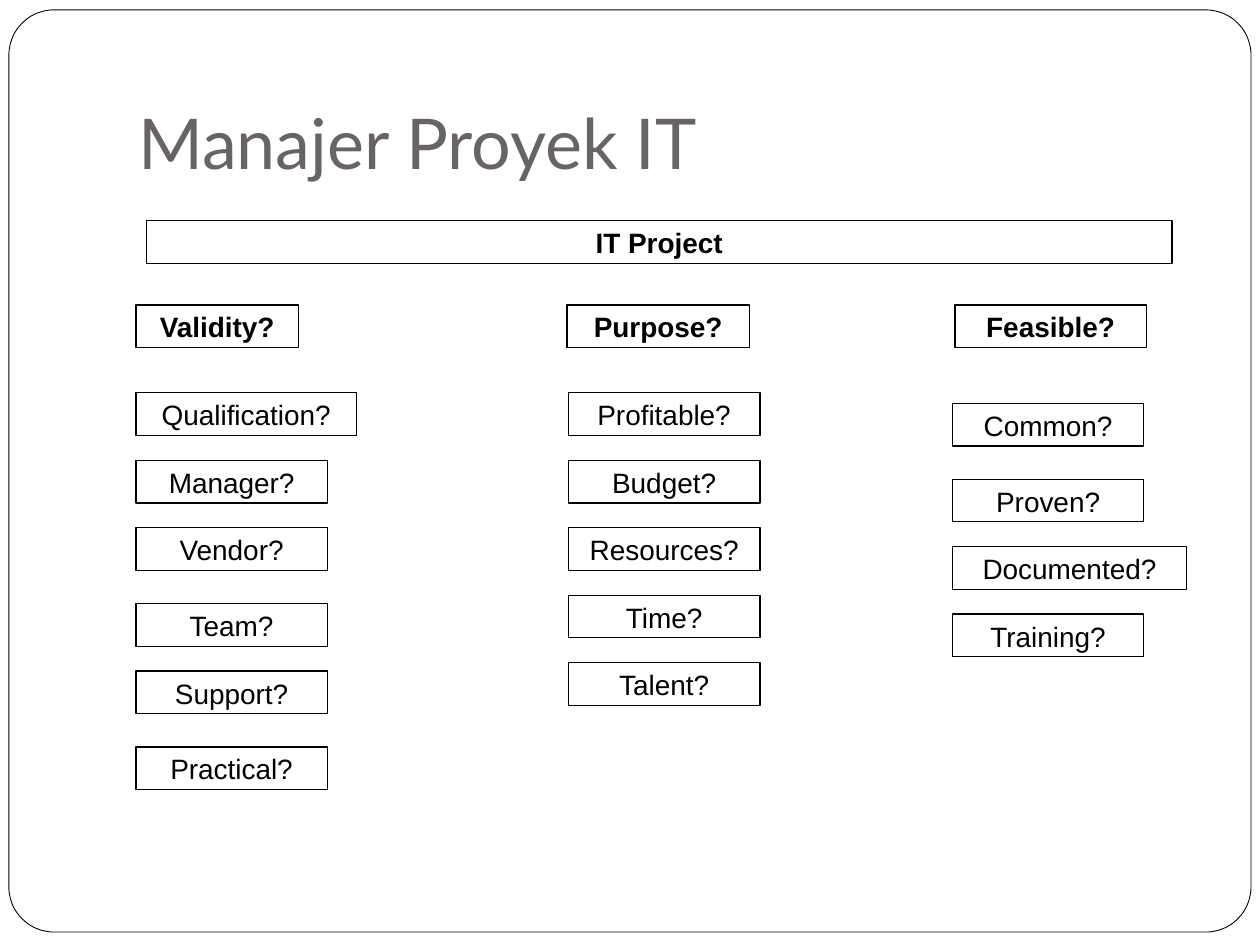
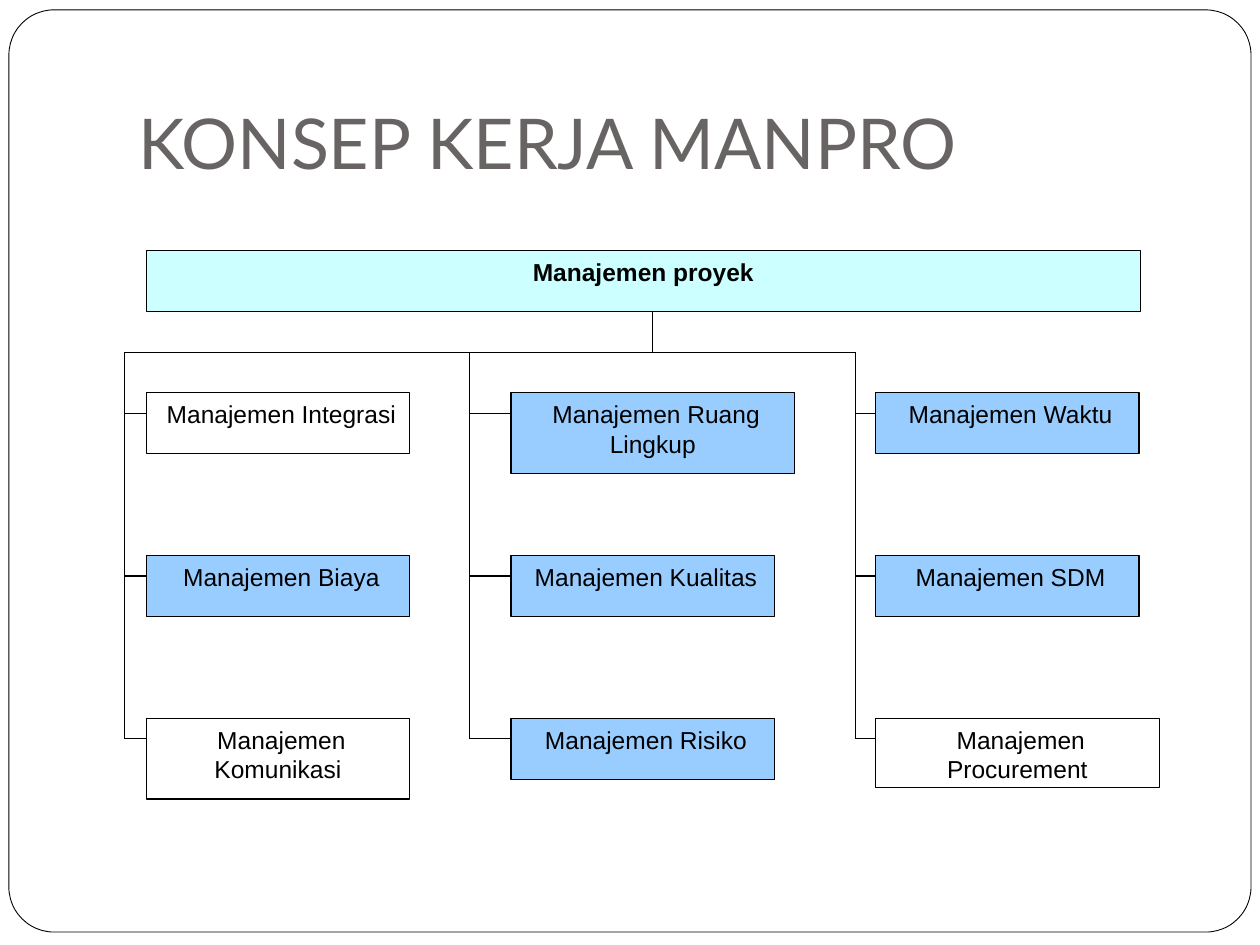
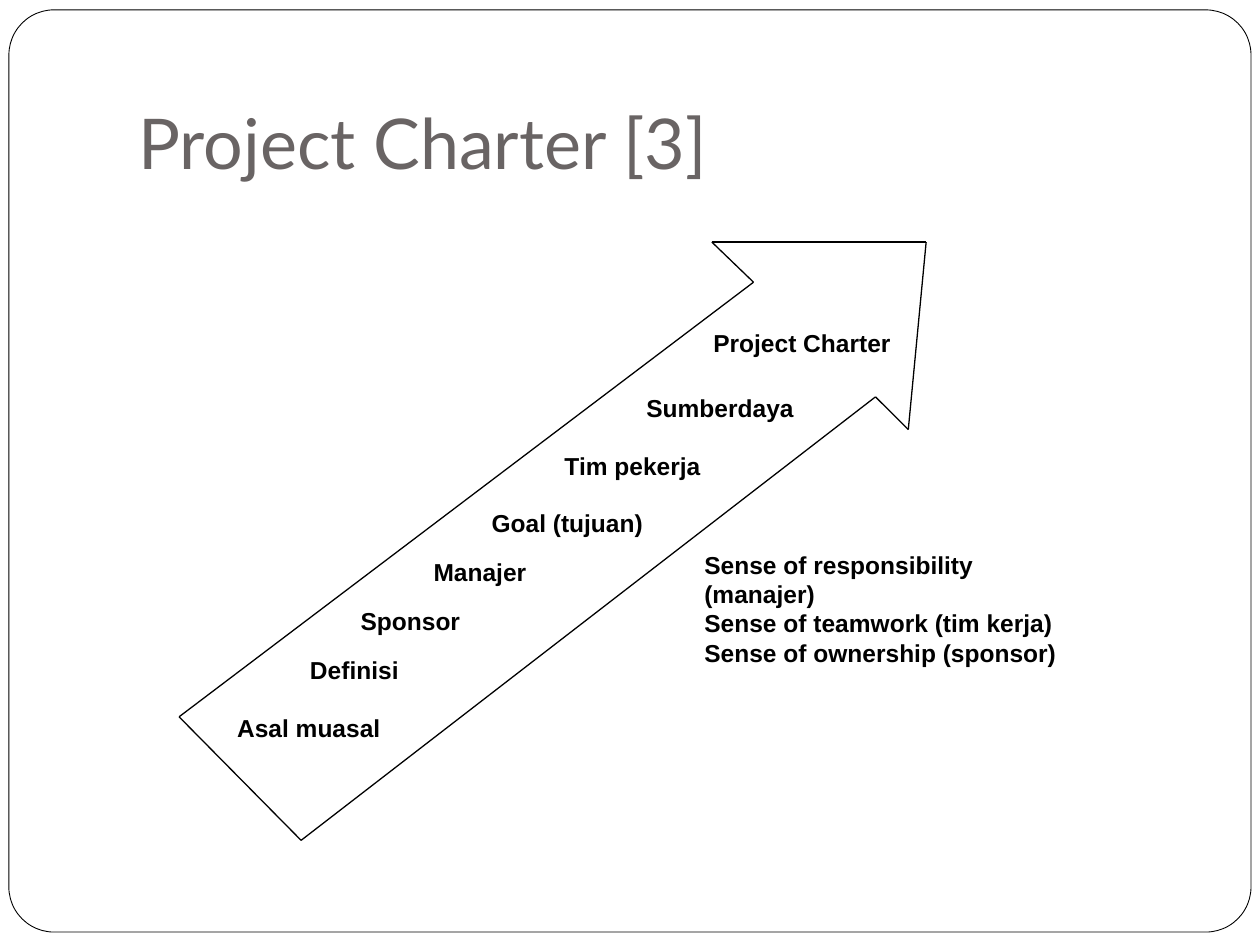
from itertools import pairwise

from lxml import etree
from pptx import Presentation
from pptx.dml.color import RGBColor
from pptx.enum.shapes import MSO_CONNECTOR, MSO_SHAPE
from pptx.enum.text import MSO_ANCHOR, PP_ALIGN
from pptx.oxml.ns import qn
from pptx.util import Cm, Pt

RECTANGLE = MSO_SHAPE.RECTANGLE
ROUNDED = MSO_SHAPE.ROUNDED_RECTANGLE
STRAIGHT = MSO_CONNECTOR.STRAIGHT
TOP, BOTTOM = MSO_ANCHOR.TOP, MSO_ANCHOR.BOTTOM
LEFT, CENTER = PP_ALIGN.LEFT, PP_ALIGN.CENTER

COLORS = {
    "paper": "FFFFFF",
    "ink": "000000",
    "title": "696464",
    "header": "CCFFFF",
    "highlight": "99CCFF",
}
TITLE_FONT, BODY_FONT = "Lato", "Arial"
LINE_WIDTH = 0.75

# Insets in cm: left, top, right, bottom
TITLE_INSETS = (0.25, 0.13, 0.25, 0.25)
QUESTION_INSETS = (0.18, 0.1, 0.18, 0.1)
LABEL_INSETS = (0.18, 0.08, 0.18, 0.08)
CHART_INSETS = (0.25, 0.13, 0.25, 0.13)

# Boxes in cm: left, top, width, height
FRAME_BOX = (0.18, 0.2, 25.04, 18.59)
TITLE_BOX = (2.54, 0.76, 21.59, 3.18)
QUESTIONS_BOX = (2.74, 4.45, 21.18, 11.5)
CHART_BOX = (2.51, 5.05, 20.86, 11.05)
ARROW_BOX = (3.61, 4.88, 15.06, 12.06)
SENSES_BOX = (14.02, 11, 7.77, 2.57)

# Questions: heading offset and width, item offset, first item top, items.
# An item is its text, width and the step down to the next one.
QUESTION_HEIGHT = 0.86
ITEM_WIDTH, STEP, WIDE_STEP = 3.86, 1.36, 1.53
QUESTION_COLUMNS = [
    ("Validity?", 0, 3.28, 0, 3.47, [
        ("Qualification?", 4.45, STEP), ("Manager?", ITEM_WIDTH, STEP),
        ("Vendor?", ITEM_WIDTH, WIDE_STEP), ("Team?", ITEM_WIDTH, STEP),
        ("Support?", ITEM_WIDTH, WIDE_STEP), ("Practical?", ITEM_WIDTH, STEP)]),
    ("Purpose?", 8.69, 3.68, 8.72, 3.47, [
        (text, ITEM_WIDTH, STEP)
        for text in ("Profitable?", "Budget?", "Resources?", "Time?", "Talent?")]),
    ("Feasible?", 16.51, 3.86, 16.46, 3.68, [
        ("Common?", ITEM_WIDTH, WIDE_STEP), ("Proven?", ITEM_WIDTH, STEP),
        ("Documented?", 4.72, STEP), ("Training?", ITEM_WIDTH, STEP)]),
]

# Knowledge areas by column: text, fill, width, height
AREA_WIDTH, WIDE_AREA, AREA_HEIGHT, TALL_AREA = 5.31, 5.72, 1.23, 1.63
AREA_COLUMNS = [
    [(" Manajemen Integrasi", "paper", AREA_WIDTH, AREA_HEIGHT),
     (" Manajemen Biaya", "highlight", AREA_WIDTH, AREA_HEIGHT),
     (" Manajemen Komunikasi", "paper", AREA_WIDTH, TALL_AREA)],
    [(" Manajemen Ruang Lingkup", "highlight", WIDE_AREA, TALL_AREA),
     (" Manajemen Kualitas", "highlight", AREA_WIDTH, AREA_HEIGHT),
     (" Manajemen Risiko", "highlight", AREA_WIDTH, AREA_HEIGHT)],
    [(" Manajemen Waktu", "highlight", AREA_WIDTH, AREA_HEIGHT),
     (" Manajemen SDM", "highlight", AREA_WIDTH, AREA_HEIGHT),
     (" Manajemen Procurement", "paper", WIDE_AREA, 1.4)],
]

# Arrow corners and labels, relative to the arrow box
ARROW_CORNERS = [(2.46, 12.06), (0, 9.57), (11.58, 0.81), (10.74, 0),
                 (15.06, 0), (14.7, 3.78), (14.04, 3.12)]
ARROW_LABELS = [
    ("Asal muasal", 0.99, 9.42, 3.63),
    ("Definisi", 2.46, 8.25, 3.63),
    ("Sponsor", 3.48, 7.26, 3.63),
    ("Manajer", 4.95, 6.27, 3.63),
    ("Goal (tujuan)", 6.12, 5.28, 5.13),
    ("Tim pekerja", 7.59, 4.14, 3.63),
    ("Sumberdaya", 9.24, 2.97, 3.63),
    ("Project Charter", 10.59, 1.65, 4.62),
]
SENSES = ["Sense of responsibility (manajer)", "Sense of teamwork (tim kerja)",
          "Sense of ownership (sponsor)"]


def rgb(name):
    return RGBColor.from_string(COLORS[name])


def write(shape, lines, size, insets, bold=False, align=LEFT, anchor=TOP,
          font=BODY_FONT, color="ink"):
    frame = shape.text_frame
    frame.word_wrap = True
    frame.vertical_anchor = anchor
    (frame.margin_left, frame.margin_top,
     frame.margin_right, frame.margin_bottom) = map(Cm, insets)
    for index, line in enumerate(lines):
        paragraph = frame.add_paragraph() if index else frame.paragraphs[0]
        paragraph.alignment = align
        run = paragraph.add_run()
        run.text = line
        run.font.name = font
        run.font.size = Pt(size)
        run.font.bold = bold
        run.font.color.rgb = rgb(color)


def add_box(slide, box, fill=None, kind=RECTANGLE, line_width=LINE_WIDTH):
    shape = slide.shapes.add_shape(kind, *map(Cm, box))
    shape.shadow.inherit = False
    if fill:
        shape.fill.solid()
        shape.fill.fore_color.rgb = rgb(fill)
    else:
        shape.fill.background()
    shape.line.color.rgb = rgb("ink")
    shape.line.width = Pt(line_width)
    return shape


def add_text(slide, box, lines, size, insets, **style):
    write(slide.shapes.add_textbox(*map(Cm, box)), lines, size, insets, **style)


def add_line(slide, start, end):
    line = slide.shapes.add_connector(STRAIGHT, *map(Cm, (*start, *end)))
    line.line.color.rgb = rgb("ink")
    line.line.width = Pt(LINE_WIDTH)
    etree.SubElement(line._element.spPr, qn("a:effectLst"))


def add_framed_slide(presentation, title):
    slide = presentation.slides.add_slide(presentation.slide_layouts[6])
    frame = add_box(slide, FRAME_BOX, "paper", ROUNDED, 0.5)
    frame.adjustments[0] = 0.049
    add_text(slide, TITLE_BOX, [title], 40, TITLE_INSETS, anchor=BOTTOM,
             font=TITLE_FONT, color="title")
    return slide


def add_question(slide, text, left, top, width, bold=False):
    shape = add_box(slide, (left, top, width, QUESTION_HEIGHT))
    write(shape, [text], 16, QUESTION_INSETS, bold=bold, align=CENTER)


def add_questions(slide, box):
    left, top, _, _ = box
    add_question(slide, "IT Project", left + 0.21, top, 20.68, bold=True)
    for heading, heading_x, heading_width, item_x, item_y, items in QUESTION_COLUMNS:
        add_question(slide, heading, left + heading_x, top + 1.7, heading_width, bold=True)
        item_top = top + item_y
        for text, width, step in items:
            add_question(slide, text, left + item_x, item_top, width)
            item_top += step


def add_area_chart(slide, box):
    left, top, _, _ = box
    first_column, column_step = left + 0.44, 7.35
    first_row, row_step = top + 2.87, 3.28
    bus_y, stem_x = top + 2.06, left + 10.65
    trunks = [left, left + 6.96, left + 14.74]

    # Header, stem and horizontal bus
    header = add_box(slide, (first_column, top, 20.04, 1.23), "header")
    write(header, ["Manajemen proyek"], 14, CHART_INSETS, bold=True, align=CENTER)
    add_line(slide, (stem_x, top + 1.23), (stem_x, bus_y))
    add_line(slide, (trunks[0], bus_y), (trunks[-1], bus_y))

    # One trunk per column, one branch per area
    for column, (trunk_x, areas) in enumerate(zip(trunks, AREA_COLUMNS)):
        area_left = first_column + column * column_step
        for row, (text, fill, width, height) in enumerate(areas):
            area_top = first_row + row * row_step
            branch_y = area_top + 0.41
            area = add_box(slide, (area_left, area_top, width, height), fill)
            write(area, [text], 14, CHART_INSETS, align=CENTER)
            add_line(slide, (trunk_x, branch_y), (area_left, branch_y))
        add_line(slide, (trunk_x, bus_y), (trunk_x, branch_y))


def add_charter_arrow(slide, box):
    left, top, _, _ = box
    for text, x, y, width in ARROW_LABELS:
        add_text(slide, (left + x, top + y, width, 0.78), [text], 14,
                 LABEL_INSETS, bold=True)
    corners = [(left + x, top + y) for x, y in ARROW_CORNERS]
    for start, end in pairwise(corners + corners[:1]):
        add_line(slide, start, end)


def main():
    presentation = Presentation()
    presentation.slide_width = Cm(25.4)
    presentation.slide_height = Cm(19.05)

    add_questions(add_framed_slide(presentation, "Manajer Proyek IT"), QUESTIONS_BOX)
    add_area_chart(add_framed_slide(presentation, "KONSEP KERJA MANPRO"), CHART_BOX)

    charter_slide = add_framed_slide(presentation, "Project Charter [3]")
    add_charter_arrow(charter_slide, ARROW_BOX)
    add_text(charter_slide, SENSES_BOX, SENSES, 14, LABEL_INSETS, bold=True)

    presentation.save("out.pptx")


if __name__ == "__main__":
    main()
